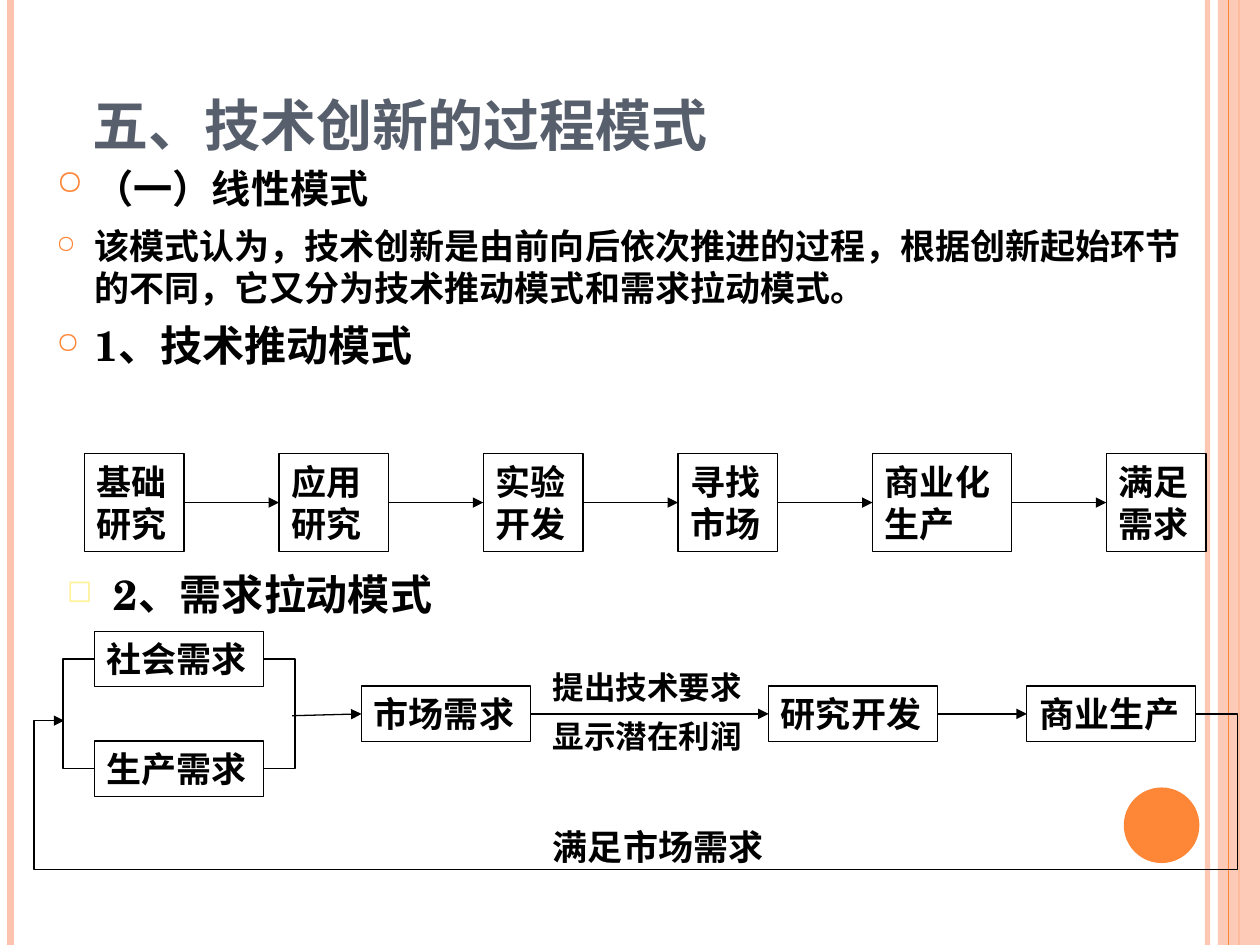
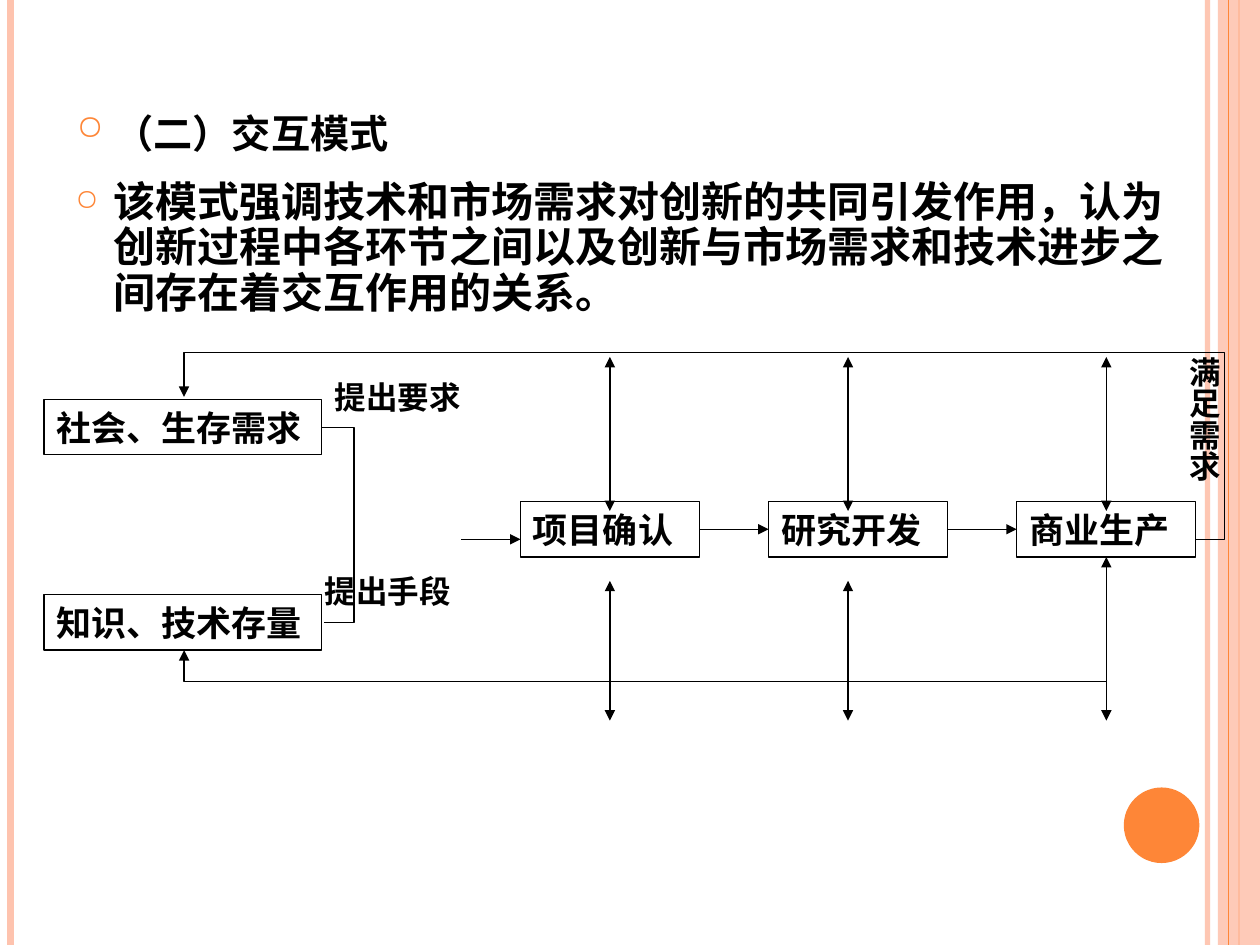
from pptx import Presentation
from pptx.dml.color import RGBColor
from pptx.enum import shapes, text
from pptx.oxml.ns import qn
from pptx.util import Pt
from lxml import etree

BLACK = RGBColor(0x00, 0x00, 0x00)
SLATE = RGBColor(0x57, 0x5F, 0x6D)
ORANGE = RGBColor(0xFE, 0x86, 0x37)
PEACH = RGBColor(0xFE, 0xC3, 0xAE)
YELLOW = RGBColor(0xFF, 0xF3, 0x9D)

SERIF = "TeX Gyre Schola"
SANS = "Noto Sans CJK JP"
LABEL_FONT = "Arial"

WIDTH, HEIGHT = 720, 540
BOX_HEIGHT = 31.7
LEFT_SIDE, RIGHT_SIDE = 1, 3


def add_element(parent, tag, **attributes):
    return etree.SubElement(parent, qn(tag), attributes)


def set_alpha(parent, percent):
    color = next(parent.iter(qn("a:srgbClr")))
    add_element(color, "a:alpha", val=str(percent * 1000))


def style_runs(paragraph, size, font_name, color=BLACK, small_caps=False):
    for run in paragraph.runs:
        run.font.size = Pt(size)
        run.font.bold = True
        run.font.color.rgb = color
        run.font.name = font_name
        properties = run._r.get_or_add_rPr()
        properties.set("lang", "zh-CN")
        if small_caps:
            properties.set("cap", "small")
        add_element(properties, "a:ea", typeface=font_name)


def add_bullet(paragraph, character="○", color=ORANGE, percent=70, indent=21.6):
    properties = paragraph._p.get_or_add_pPr()
    properties.set("marL", str(Pt(indent)))
    properties.set("indent", str(-Pt(indent)))
    bullet_color = add_element(properties, "a:buClr")
    add_element(bullet_color, "a:srgbClr", val=str(color))
    add_element(properties, "a:buSzPct", val=str(percent * 1000))
    add_element(properties, "a:buChar", char=character)


def add_textbox(slide, left, top, width, height, words, anchor=text.MSO_ANCHOR.TOP):
    shape = slide.shapes.add_textbox(Pt(left), Pt(top), Pt(width), Pt(height))
    frame = shape.text_frame
    frame.word_wrap = True
    frame.vertical_anchor = anchor
    frame.text = words
    return shape


def add_bulleted(slide, box, items, anchor=text.MSO_ANCHOR.TOP):
    """Each item is (words, size, font name, small caps, line spacing)."""
    words = "\n".join(item[0] for item in items)
    frame = add_textbox(slide, *box, words, anchor).text_frame
    for paragraph, (_, size, font_name, small_caps, spacing) in zip(frame.paragraphs, items):
        paragraph.space_before = Pt(6)
        paragraph.line_spacing = spacing
        add_bullet(paragraph)
        style_runs(paragraph, size, font_name, small_caps=small_caps)


def add_label(slide, left, top, width, height, words, size=18):
    shape = add_textbox(slide, left, top, width, height, words)
    style_runs(shape.text_frame.paragraphs[0], size, LABEL_FONT)
    return shape


def add_box(slide, left, top, width, words, height=BOX_HEIGHT):
    shape = slide.shapes.add_shape(
        shapes.MSO_SHAPE.RECTANGLE, Pt(left), Pt(top), Pt(width), Pt(height))
    shape.shadow.inherit = False
    shape.fill.background()
    shape.line.color.rgb = BLACK
    shape.line.width = Pt(0.75)
    frame = shape.text_frame
    frame.word_wrap = True
    frame.text = words
    for paragraph in frame.paragraphs:
        paragraph.alignment = text.PP_ALIGN.LEFT
        style_runs(paragraph, 20, LABEL_FONT)
    return shape


def style_line(shape, color, width, head=False, tail=False):
    shape.line.color.rgb = color
    shape.line.width = Pt(width)
    outline = shape._element.spPr.find(qn("a:ln"))
    for tag, wanted in (("a:headEnd", head), ("a:tailEnd", tail)):
        if wanted:
            add_element(outline, tag, type="triangle")


def add_line(slide, start, end, color=BLACK, width=0.75, head=False, tail=False):
    connector = slide.shapes.add_connector(
        shapes.MSO_CONNECTOR.STRAIGHT, *map(Pt, (*start, *end)))
    style_line(connector, color, width, head, tail)
    add_element(connector._element.spPr, "a:effectLst")
    return connector


def join_boxes(slide, boxes):
    """Arrows from each box to the next one in the row."""
    for box, next_box in zip(boxes, boxes[1:]):
        connector = add_line(slide, (0, 0), (0, 0), tail=True)
        connector.begin_connect(box, RIGHT_SIDE)
        connector.end_connect(next_box, LEFT_SIDE)


def add_route(slide, left, top, points, head=False, tail=False):
    """A line with square corners through points relative to (left, top)."""
    corners = [(Pt(left + x), Pt(top + y)) for x, y in points]
    builder = slide.shapes.build_freeform(*corners[0])
    builder.add_line_segments(corners[1:], close=False)
    shape = builder.convert_to_shape()
    shape.shadow.inherit = False
    shape.fill.background()
    style_line(shape, BLACK, 0.75, head, tail)


def add_frame(slide):
    """Side bands and the orange dot that every slide carries."""
    def vertical(x, color, width):
        return add_line(slide, (x, 0), (x, HEIGHT), color, width)

    set_alpha(vertical(690, PEACH, 3)._element.spPr, 93)
    vertical(6, PEACH, 4.5)
    vertical(708, ORANGE, 1.5)
    band = slide.shapes.add_shape(
        shapes.MSO_SHAPE.RECTANGLE, Pt(696), 0, Pt(WIDTH - 696), Pt(HEIGHT))
    dot = slide.shapes.add_shape(
        shapes.MSO_SHAPE.OVAL, Pt(642.2), Pt(450), Pt(43.2), Pt(43.2))
    for shape, color in ((band, PEACH), (dot, ORANGE)):
        shape.shadow.inherit = False
        shape.fill.solid()
        shape.fill.fore_color.rgb = color
        shape.line.fill.background()
    set_alpha(band._element.spPr, 87)
    vertical(702, ORANGE, 0.75)


def add_push_chain(slide, left, top):
    steps = (("基础\n研究", 57), ("应用\n研究", 62.6), ("实验\n开发", 57),
             ("寻找\n市场", 57), ("商业化\n生产", 79.4), ("满足需求", 57))
    gap = 54.2
    boxes = []
    for words, width in steps:
        boxes.append(add_box(slide, left, top, width, words, height=56))
        left += width + gap
    join_boxes(slide, boxes)


def add_pull_diagram(slide, left, top):
    box_width, row, label_left = 96.5, 31.4, left + 289.5
    needs_left, middle = 34.6, BOX_HEIGHT / 2
    needs_right = needs_left + box_width
    for index, words in enumerate(("社会需求", "生产需求")):
        add_box(slide, left + needs_left, top + 2 * row * index, box_width, words)
    stages = [add_box(slide, left + x, top + row, box_width, words)
              for x, words in ((187.2, "市场需求"), (419.8, "研究开发"), (567.4, "商业生产"))]
    join_boxes(slide, stages)

    lower = middle + 2 * row
    for side, outer in ((needs_left, needs_left - 18), (needs_right, needs_right + 18)):
        add_route(slide, left, top,
                  [(side, middle), (outer, middle), (outer, lower), (side, lower)])
    entry = add_line(slide, (left + 147.6, top + 48.3), (left + 187.2, top + 47.2), tail=True)
    entry.end_connect(stages[0], LEFT_SIDE)

    add_label(slide, label_left, top + 17.3, 124.6, 28.8, "提出技术要求")
    add_label(slide, label_left, top + 45.4, 124.6, 28.8, "显示潜在利润")
    add_label(slide, label_left, top + 107.3, 164.2, 31, "满足市场需求", size=20)
    add_route(slide, left, top,
              [(663.9, row + middle), (687.6, row + middle), (687.6, 136),
               (0, 136), (0, 51.1), (17.3, 51.1)], tail=True)


def add_interaction_diagram(slide, left, top):
    source_width, stage_width, stage_step = 158.4, 102.2, 141.8
    stage_left, stage_top, entry_y = 272.2, 85, 106.6
    for y, words in ((26.6, "社会、生存需求"), (138.2, "知识、技术存量")):
        add_box(slide, left, top + y, source_width, words)
    stages = [add_box(slide, left + stage_left + index * stage_step, top + stage_top,
                      stage_width, words)
              for index, words in enumerate(("项目确认", "研究开发", "商业生产"))]
    join_boxes(slide, stages)

    add_route(slide, left, top,
              [(source_width, 42.5), (177.1, 42.5), (177.1, 154), (159.8, 154)])
    add_line(slide, (left + 238.3, top + entry_y), (left + stage_left, top + entry_y), tail=True)
    add_label(slide, left + 159.1, top + 10.8, 102.2, 28.8, "提出要求")
    add_label(slide, left + 153.4, top + 121.7, 102.2, 28.8, "提出手段")

    source_x, last_x = 80, 607
    for x in (323.3, 459.4, last_x):
        add_line(slide, (left + x, top + 90.4), (left + x, top + 2.4), head=True, tail=True)
        add_line(slide, (left + x, top + 130.3), (left + x, top + 210.2),
                 head=x != last_x, tail=True)
    add_route(slide, left, top,
              [(source_x, 169.9), (source_x, 188), (last_x, 188),
               (last_x, stage_top + BOX_HEIGHT)], head=True, tail=True)
    add_route(slide, left, top,
              [(658, entry_y), (674.6, entry_y), (674.6, 0), (source_x, 0),
               (source_x, 25.2)], tail=True)
    label = add_label(slide, left + 640.8, top - 5, 36.7, 119.5, "满足需求")
    label.text_frame._txBody.bodyPr.set("vert", "eaVert")


def build_linear_slide(slide):
    add_frame(slide)
    title = add_textbox(slide, 46, 20.9, 588.2, 74.2, "五、技术创新的过程模式",
                        text.MSO_ANCHOR.BOTTOM)
    style_runs(title.text_frame.paragraphs[0], 40, SERIF, SLATE, small_caps=True)
    add_bulleted(slide, (25.2, 88.6, 669.6, 172), [
        ("（一）线性模式", 28, SANS, True, 0.9),
        ("该模式认为，技术创新是由前向后依次推进的过程，根据创新起始环节的不同，"
         "它又分为技术推动模式和需求拉动模式。", 20, SERIF, False, 1.0),
        ("1、技术推动模式", 24, SERIF, False, 1.0),
    ])
    add_push_chain(slide, 48.2, 259.2)
    heading = add_textbox(slide, 31, 321.1, 669.6, 41.8, "2、需求拉动模式")
    paragraph = heading.text_frame.paragraphs[0]
    add_bullet(paragraph, "◻", YELLOW, 75, indent=27)
    style_runs(paragraph, 24, SERIF)
    add_pull_diagram(slide, 19.4, 360.7)


def build_interaction_slide(slide):
    add_frame(slide)
    add_bulleted(slide, (36.7, 26, 588.2, 68.4),
                 [("（二）交互模式", 28, SANS, True, 0.9)], text.MSO_ANCHOR.BOTTOM)
    add_bulleted(slide, (36, 100, 648, 118.8), [
        ("该模式强调技术和市场需求对创新的共同引发作用，认为创新过程中各环节之间"
         "以及创新与市场需求和技术进步之间存在着交互作用的关系。", 24, SERIF, False, 0.9),
    ])
    add_interaction_diagram(slide, 25.2, 201.6)


def main():
    presentation = Presentation()
    presentation.slide_width = Pt(WIDTH)
    presentation.slide_height = Pt(HEIGHT)
    blank = presentation.slide_layouts[6]
    for build in (build_linear_slide, build_interaction_slide):
        build(presentation.slides.add_slide(blank))
    presentation.save("out.pptx")


if __name__ == "__main__":
    main()
